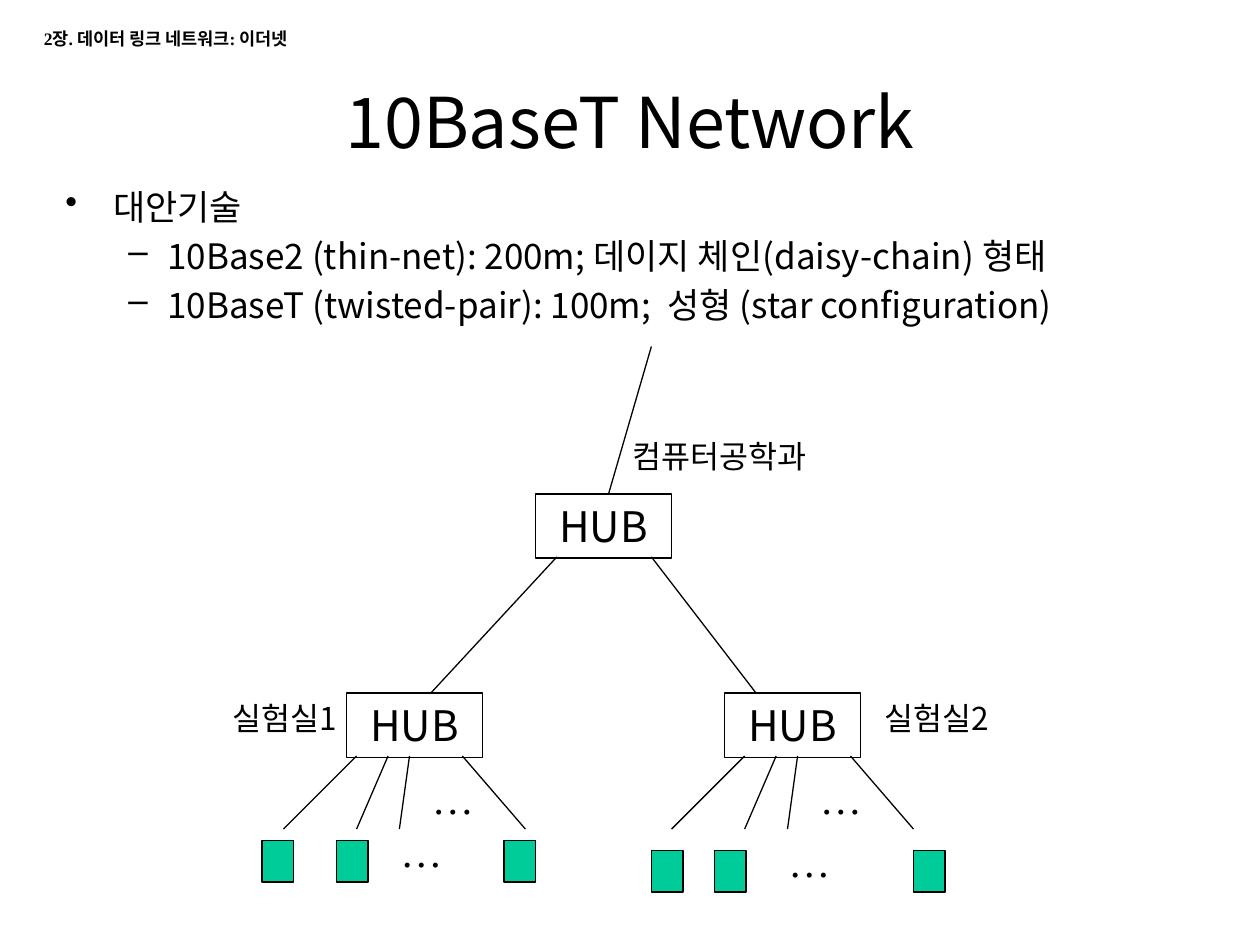
from dataclasses import dataclass

from lxml.etree import SubElement
from pptx import Presentation
from pptx.dml.color import RGBColor
from pptx.enum.shapes import MSO_CONNECTOR as Connector, MSO_SHAPE as Shape
from pptx.enum.text import MSO_ANCHOR as Anchor, PP_ALIGN as Align
from pptx.oxml.ns import qn
from pptx.util import Inches, Pt


@dataclass(frozen=True)
class Theme:
    ink: RGBColor = RGBColor(0x00, 0x00, 0x00)
    computer: RGBColor = RGBColor(0x00, 0xCC, 0x99)
    sans: str = "Noto Sans CJK KR"
    serif: str = "Times New Roman"
    title: int = 40
    hub: int = 24
    body: int = 20
    label: int = 18
    header: int = 10
    line: float = 0.75


THEME = Theme()
HEADER = "2장. 데이터 링크 네트워크: 이더넷"
TITLE = "10BaseT Network"
BULLETS = [
    (0, "대안기술"),
    (1, "10Base2 (thin-net): 200m; 데이지 체인(daisy-chain) 형태"),
    (1, "10BaseT (twisted-pair): 100m;  성형 (star configuration)"),
]
LEVELS = [("•", 0.38, -0.38), ("–", 0.81, -0.31)]

HUB_SIZE = (1.08, 0.51)
COMPUTER_SIZE = (0.25, 0.33)
ELLIPSIS_SIZE = (1.33, 0.5)
ROOT_HUB = (4.25, 3.92)
ROOT_LABEL = ("컴퓨터공학과", (4.92, 3.42, 1.75, 0.4))
TRUNKS = [
    ((4.42, 4.42), (3.42, 5.5)),
    ((5.17, 4.42), (6, 5.5)),
    ((5.17, 2.75), (4.83, 3.92)),
]
LABS = [
    {"name": "실험실1", "name_left": 1.75, "hub_left": 2.75, "cable_left": 2.25,
     "computers": (2.08, 2.67, 4), "computer_top": 6.67},
    {"name": "실험실2", "name_left": 6.92, "hub_left": 5.75, "cable_left": 5.33,
     "computers": (5.17, 5.67, 7.25), "computer_top": 6.75},
]
LAB_TOP, CABLE_TOP, CABLE_BOTTOM = 5.5, 6, 6.58
CABLES = [(0.58, 0), (0.83, 0.58), (1, 0.92), (1.42, 1.92)]


def style(paragraph, size, family=THEME.sans, bold=False):
    for run in paragraph.runs:
        font = run.font
        font.name, font.size, font.bold = family, Pt(size), bold
        font.color.rgb = THEME.ink
        if family == THEME.sans:
            SubElement(run.font._element, qn("a:ea"), typeface=family)


def add_text(slide, content, box, size, family=THEME.sans, bold=False,
             align=Align.LEFT, anchor=Anchor.TOP):
    frame = slide.shapes.add_textbox(*map(Inches, box)).text_frame
    frame.word_wrap, frame.vertical_anchor = True, anchor
    frame.text = content
    frame.paragraphs[0].alignment = align
    style(frame.paragraphs[0], size, family, bold)


def add_box(slide, box, fill=None, content=""):
    node = slide.shapes.add_shape(Shape.RECTANGLE, *map(Inches, box))
    node.shadow.inherit = False
    if fill is None:
        node.fill.background()
    else:
        node.fill.solid()
        node.fill.fore_color.rgb = fill
    node.line.color.rgb, node.line.width = THEME.ink, Pt(THEME.line)
    if content:
        node.text_frame.text = content
        node.text_frame.vertical_anchor = Anchor.MIDDLE
        node.text_frame.paragraphs[0].alignment = Align.CENTER
        style(node.text_frame.paragraphs[0], THEME.hub)


def add_cable(slide, start, end):
    cable = slide.shapes.add_connector(Connector.STRAIGHT, *map(Inches, start + end))
    cable.line.color.rgb, cable.line.width = THEME.ink, Pt(THEME.line)
    SubElement(cable._element.spPr, qn("a:effectLst"))


def add_bullets(slide):
    frame = slide.shapes.add_textbox(*map(Inches, (0.42, 1.42, 9.33, 5.75))).text_frame
    frame.word_wrap = True
    frame.text = "\n".join(content for _, content in BULLETS)
    for index, (paragraph, (level, _)) in enumerate(zip(frame.paragraphs, BULLETS)):
        mark, margin, indent = LEVELS[level]
        paragraph.level = level
        if index:
            paragraph.space_before = Pt(THEME.body * 0.2)
        properties = paragraph._p.get_or_add_pPr()
        properties.set("marL", str(Inches(margin)))
        properties.set("indent", str(Inches(indent)))
        SubElement(properties, qn("a:buChar"), char=mark)
        style(paragraph, THEME.body)


def add_lab(slide, lab):
    left, computer_top = lab["cable_left"], lab["computer_top"]
    add_box(slide, (lab["hub_left"], LAB_TOP, *HUB_SIZE), content="HUB")
    add_text(slide, lab["name"], (lab["name_left"], LAB_TOP, 1.17, 0.4), THEME.label)
    for start, end in CABLES:
        add_cable(slide, (left + start, CABLE_TOP), (left + end, CABLE_BOTTOM))
    for computer_left in lab["computers"]:
        add_box(slide, (computer_left, computer_top, *COMPUTER_SIZE), THEME.computer)
    for spot in ((left + 1.08, 6.08), (left + 0.83, computer_top - 0.17)):
        add_text(slide, "…", spot + ELLIPSIS_SIZE, THEME.hub, THEME.serif)


def main():
    """Build the 10BaseT network slide."""
    deck = Presentation()
    deck.slide_width, deck.slide_height = Inches(10), Inches(7.5)
    slide = deck.slides.add_slide(deck.slide_layouts[6])
    add_text(slide, HEADER, (0.25, 0.17, 4.42, 0.27), THEME.header, THEME.serif, bold=True)
    add_text(slide, TITLE, (0.75, 0.58, 8.5, 0.75), THEME.title,
             align=Align.CENTER, anchor=Anchor.MIDDLE)
    add_bullets(slide)
    add_box(slide, ROOT_HUB + HUB_SIZE, content="HUB")
    add_text(slide, *ROOT_LABEL, THEME.label)
    for start, end in TRUNKS:
        add_cable(slide, start, end)
    for lab in LABS:
        add_lab(slide, lab)
    deck.save("out.pptx")


if __name__ == "__main__":
    main()
